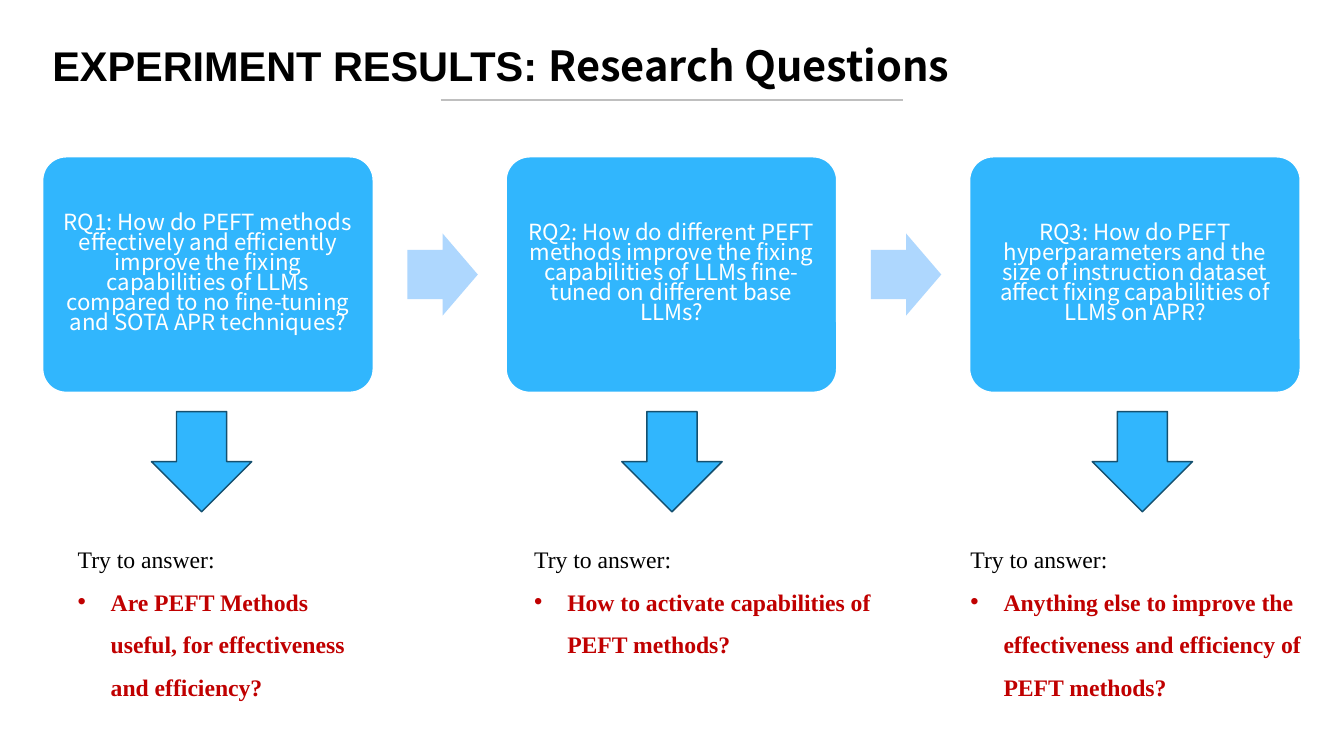
from lxml.etree import SubElement
from pptx import Presentation
from pptx.dml.color import RGBColor
from pptx.enum.shapes import MSO_CONNECTOR, MSO_SHAPE
from pptx.enum.text import MSO_ANCHOR, MSO_AUTO_SIZE, PP_ALIGN
from pptx.oxml.ns import qn
from pptx.util import Inches, Pt

BLACK = RGBColor(0x00, 0x00, 0x00)
WHITE = RGBColor(0xFF, 0xFF, 0xFF)
GRAY = RGBColor(0xBF, 0xBF, 0xBF)
BLUE = RGBColor(0x31, 0xB6, 0xFD)
PALE_BLUE = RGBColor(0xAE, 0xD7, 0xFE)
DARK_BLUE = RGBColor(0x15, 0x50, 0x6F)
RED = RGBColor(0xC0, 0x00, 0x00)

SANS = "Noto Sans CJK SC"
SERIF = "Times New Roman"
TITLE_FORMAT = {"size": Pt(28), "bold": True}
CARD_FORMAT = {"name": SANS, "size": Pt(15)}
ANSWER_FORMAT = {"name": SERIF, "size": Pt(16)}

CARD_LEFT, CARD_PITCH = 0.4, 4.345
DOWN_LEFT, DOWN_PITCH = 1.42, 4.41

# Question, answer text, and the left, width and height of the answer box
QUESTIONS = [
    ("RQ1: How do PEFT methods effectively and efficiently improve the fixing "
     "capabilities of LLMs compared to no fine-tuning and SOTA APR techniques?",
     "Are PEFT Methods useful, for effectiveness and efficiency?",
     (0.63, 2.92, 1.67)),
    ("RQ2: How do different PEFT methods improve the fixing capabilities of "
     "LLMs fine-tuned on different base LLMs?",
     "How to activate capabilities of PEFT methods?",
     (4.91, 3.52, 1.26)),
    ("RQ3: How do PEFT hyperparameters and the size of instruction dataset "
     "affect fixing capabilities of LLMs on APR?",
     "Anything else to improve the effectiveness and efficiency of PEFT methods?",
     (9, 3.43, 1.67)),
]


def set_attributes(target, values):
    for name, value in values.items():
        setattr(target, name, value)


def add_run(paragraph, text, color, values):
    run = paragraph.add_run()
    run.text = text
    set_attributes(run.font, values)
    run.font.color.rgb = color


def add_bullet(paragraph, indent):
    properties = paragraph._p.get_or_add_pPr()
    properties.set("marL", str(Inches(indent)))
    properties.set("indent", str(-Inches(indent)))
    SubElement(properties, qn("a:buFont")).set("typeface", "Arial")
    SubElement(properties, qn("a:buChar")).set("char", "•")


def add_title(slide):
    title = slide.shapes.title
    set_attributes(title, {"left": Inches(0.39), "top": Inches(0.24),
                           "width": Inches(11.97), "height": Inches(0.79)})
    title.text_frame.vertical_anchor = MSO_ANCHOR.MIDDLE
    paragraph = title.text_frame.paragraphs[0]
    set_attributes(paragraph, {"alignment": PP_ALIGN.LEFT, "line_spacing": 0.9})
    add_run(paragraph, "EXPERIMENT RESULTS: ", BLACK, {**TITLE_FORMAT, "name": "Arial"})
    add_run(paragraph, "Research Questions", BLACK, {**TITLE_FORMAT, "name": SANS})


def add_title_rule(slide):
    rule = slide.shapes.add_connector(MSO_CONNECTOR.STRAIGHT, Inches(4.13), Inches(0.94),
                                      Inches(8.47), Inches(0.94))
    rule.line.color.rgb = GRAY
    rule.line.width = Pt(1.5)
    SubElement(rule._element.spPr, qn("a:effectLst"))


def add_filled_shape(slide, kind, box, fill, line=None, adjustments=()):
    shape = slide.shapes.add_shape(kind, *map(Inches, box))
    shape.shadow.inherit = False
    shape.fill.solid()
    shape.fill.fore_color.rgb = fill
    if line is None:
        shape.line.fill.background()
    else:
        shape.line.color.rgb = line
        shape.line.width = Pt(1)
    for index, value in enumerate(adjustments):
        shape.adjustments[index] = value
    return shape


def add_question_card(slide, left, question):
    card = add_filled_shape(slide, MSO_SHAPE.ROUNDED_RECTANGLE, (left, 1.47, 3.1, 2.21),
                            BLUE, WHITE, [0.1])
    margins = ("margin_left", "margin_right", "margin_top", "margin_bottom")
    set_attributes(card.text_frame, dict.fromkeys(margins, Inches(0.1)))
    set_attributes(card.text_frame, {"word_wrap": True, "vertical_anchor": MSO_ANCHOR.MIDDLE})
    paragraph = card.text_frame.paragraphs[0]
    set_attributes(paragraph, {"alignment": PP_ALIGN.CENTER, "line_spacing": 0.75})
    add_run(paragraph, question, WHITE, CARD_FORMAT)


def add_answer(slide, left, width, height, answer):
    box = slide.shapes.add_textbox(Inches(left), Inches(4.93), Inches(width), Inches(height))
    frame = box.text_frame
    set_attributes(frame, {"word_wrap": True, "auto_size": MSO_AUTO_SIZE.SHAPE_TO_FIT_TEXT})
    lead, point = frame.paragraphs[0], frame.add_paragraph()
    lead.line_spacing = point.line_spacing = 1.5
    add_run(lead, "Try to answer:", BLACK, ANSWER_FORMAT)
    add_bullet(point, 0.31)
    add_run(point, answer, RED, {**ANSWER_FORMAT, "bold": True})


def main():
    presentation = Presentation()
    presentation.slide_width = Inches(12.6)
    presentation.slide_height = Inches(7.09)
    slide = presentation.slides.add_slide(presentation.slide_layouts[5])
    add_title_rule(slide)
    add_title(slide)
    for index, (question, answer, answer_box) in enumerate(QUESTIONS):
        card_left = CARD_LEFT + index * CARD_PITCH
        add_question_card(slide, card_left, question)
        if index < len(QUESTIONS) - 1:
            add_filled_shape(slide, MSO_SHAPE.RIGHT_ARROW, (card_left + 3.42, 2.19, 0.66, 0.77),
                             PALE_BLUE, adjustments=[0.6, 0.5])
        add_filled_shape(slide, MSO_SHAPE.DOWN_ARROW,
                         (DOWN_LEFT + index * DOWN_PITCH, 3.86, 0.94, 0.94), BLUE, DARK_BLUE)
        add_answer(slide, *answer_box, answer)
    presentation.save("out.pptx")


if __name__ == "__main__":
    main()
